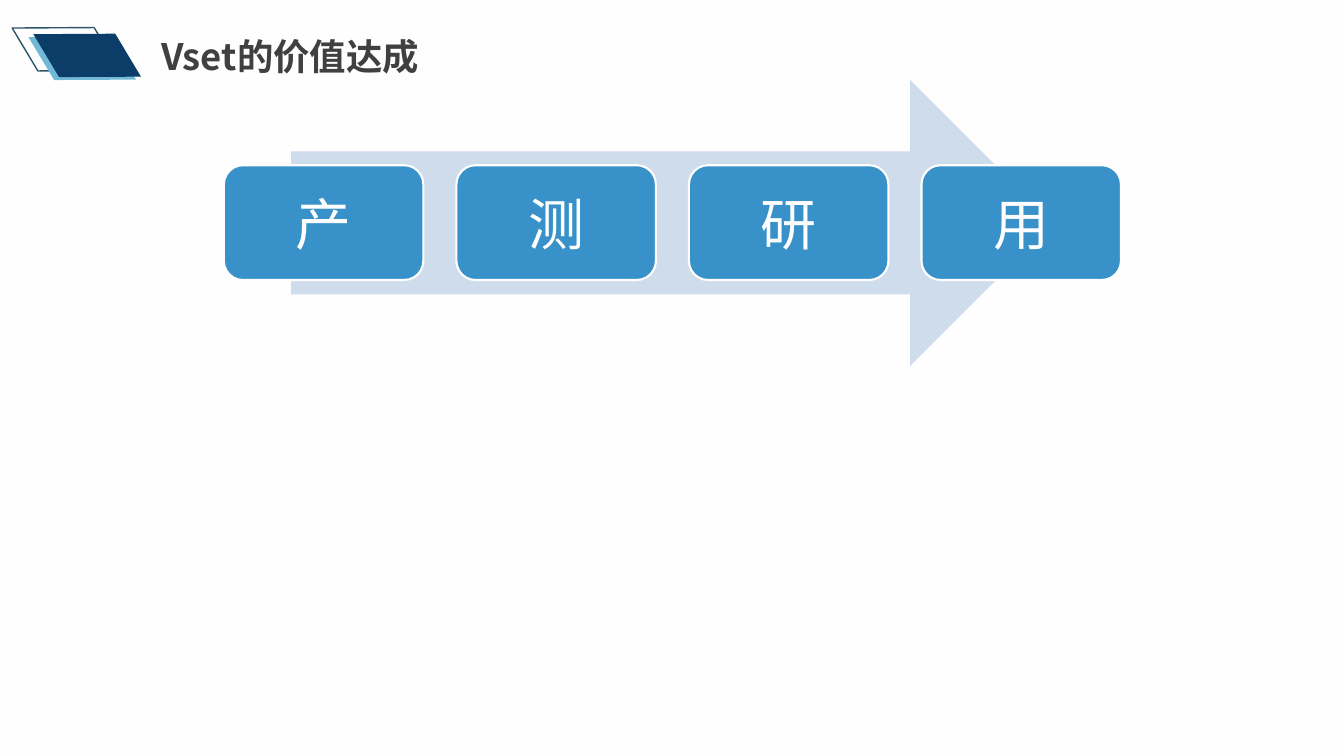
from pptx import Presentation
from pptx.dml.color import RGBColor
from pptx.enum.shapes import MSO_SHAPE as Preset
from pptx.enum.text import MSO_ANCHOR as Anchor, PP_ALIGN as Align
from pptx.oxml.ns import qn
from pptx.util import Pt
from lxml.etree import SubElement

FONT = "Noto Sans CJK SC"
COLORS = {
    "white": "FEFEFE",
    "title": "404040",
    "outline": "2C556B",
    "sky": "72B9D8",
    "navy": "0C3D69",
    "arrow": "CEDCEB",
    "card": "3892C9",
}
STAGES = ["产", "测", "研", "用"]
CARD_LEFT, CARD_TOP = 159.9, 118
CARD_WIDTH, CARD_HEIGHT = 142.5, 82
CARD_PITCH = 166.1


def color(name):
    return RGBColor.from_string(COLORS[name])


def add_preset(page, preset, left, top, width, height, fill=None, line=None, weight=1):
    shape = page.shapes.add_shape(preset, Pt(left), Pt(top), Pt(width), Pt(height))
    shape.shadow.inherit = False
    if fill:
        shape.fill.solid()
        shape.fill.fore_color.rgb = color(fill)
    else:
        shape.fill.background()
    if line:
        shape.line.color.rgb = color(line)
        shape.line.width = Pt(weight)
    else:
        shape.line.fill.background()
    return shape


def write(shape, text, size, ink, bold=False):
    """Set one line of text, with the font for Latin and East Asian letters."""
    para = shape.text_frame.paragraphs[0]
    para.text = text
    span = para.runs[0]
    span.font.name = FONT
    span.font.size = Pt(size)
    span.font.bold = bold
    span.font.color.rgb = color(ink)
    SubElement(span.font._element, qn("a:ea"), typeface=FONT)
    return para


def add_slanted_tile(page, left, top, **style):
    tile = add_preset(page, Preset.PARALLELOGRAM, left, top, 65.5, 50.4, **style)
    tile.adjustments[0] = 0.59
    tile.rotation = 59.1


def add_title(page, text):
    box = page.shapes.add_textbox(Pt(108), Pt(21), Pt(236), Pt(39))
    box.text_frame.word_wrap = True
    write(box, text, 26, "title", bold=True)


def add_card(page, left, text):
    card = add_preset(page, Preset.ROUNDED_RECTANGLE, left, CARD_TOP,
                      CARD_WIDTH, CARD_HEIGHT, fill="card", line="white", weight=1.5)
    frame = card.text_frame
    frame.word_wrap = True
    frame.vertical_anchor = Anchor.MIDDLE
    frame.margin_left = frame.margin_right = Pt(12)
    frame.margin_top = frame.margin_bottom = Pt(12)
    write(card, text, 40, "white").alignment = Align.CENTER


def main():
    deck = Presentation()
    deck.slide_width, deck.slide_height = Pt(960), Pt(540)
    page = deck.slides.add_slide(deck.slide_layouts[6])
    page.background.fill.solid()
    page.background.fill.fore_color.rgb = color("white")

    add_slanted_tile(page, 14.4, 10, line="outline")
    add_slanted_tile(page, 26, 16.5, fill="sky")
    add_slanted_tile(page, 29.5, 14.4, fill="navy")
    add_title(page, "Vset的价值达成")

    add_preset(page, Preset.RIGHT_ARROW, 208, 57, 544.3, 204.5, fill="arrow")
    for index, stage in enumerate(STAGES):
        add_card(page, CARD_LEFT + index * CARD_PITCH, stage)

    deck.save("out.pptx")


if __name__ == "__main__":
    main()
